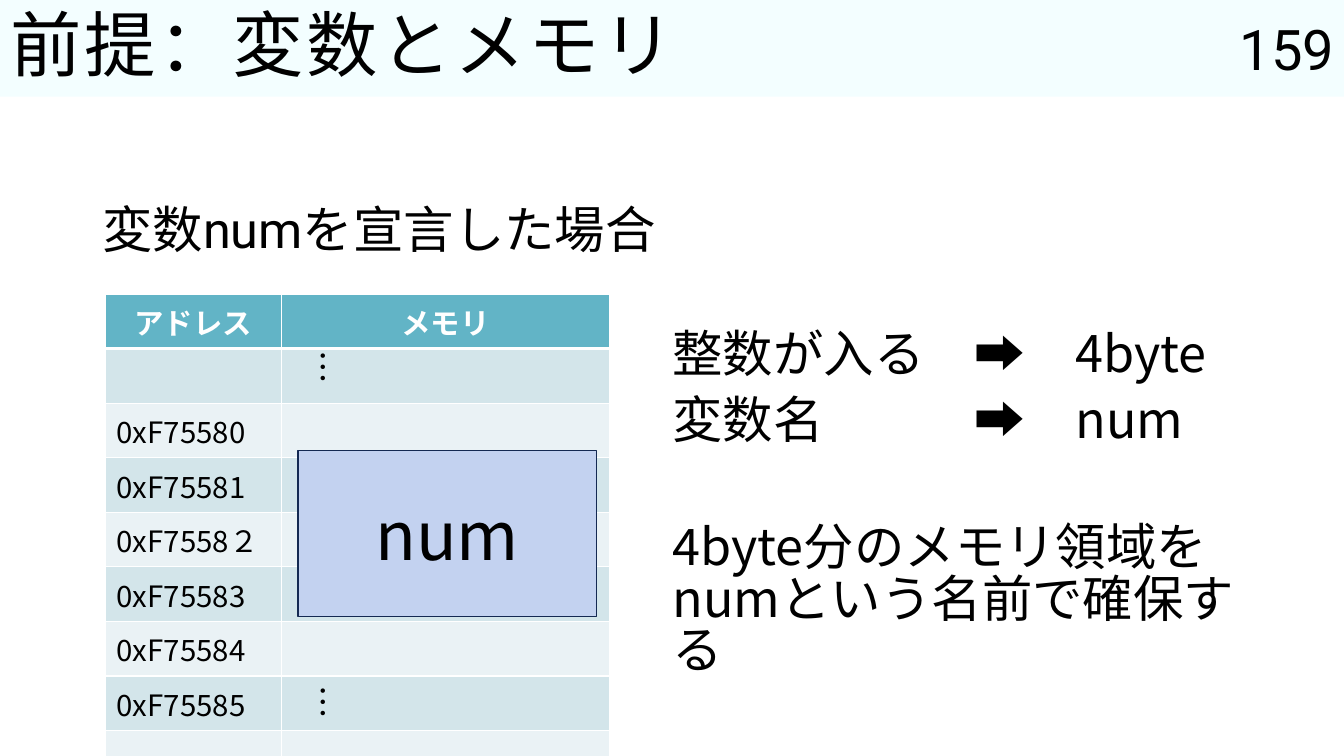
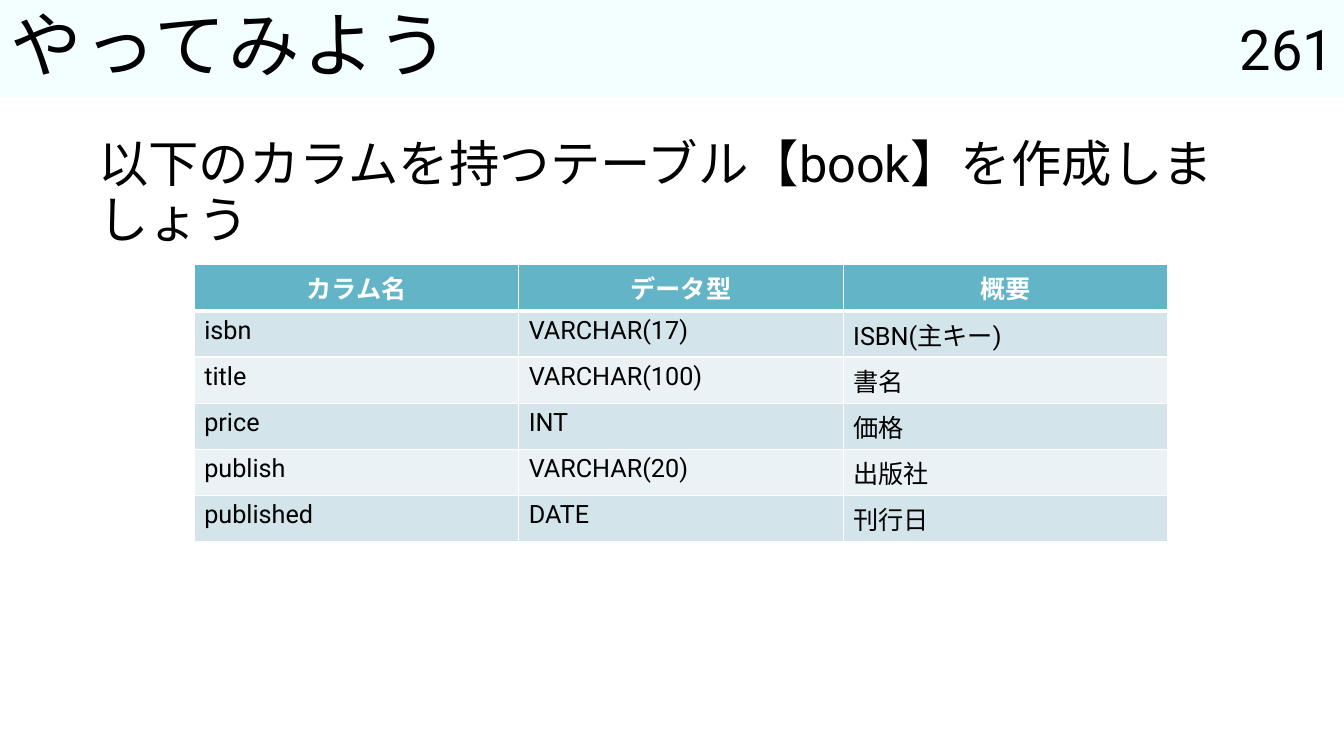
import pptx
import pptx.dml.color
import pptx.enum.shapes
import pptx.enum.text
import pptx.oxml.ns
import pptx.util
from lxml import etree

PX = 9525
WIDTH, HEIGHT = 1280, 720
BAND_HEIGHT = 92
NUMBER_WIDTH = 144
ROBOTO = "Roboto"
NOTO = "Noto Sans CJK JP"
COLORS = {
    "black": "000000",
    "white": "FFFFFF",
    "title band": "F3FEFF",
    "table header": "62B4C6",
    "odd row": "D3E5EA",
    "even row": "EAF2F5",
    "variable": "C3D2F0",
    "variable line": "142952",
}
ALIGN = pptx.enum.text.PP_ALIGN
MIDDLE = pptx.enum.text.MSO_ANCHOR.MIDDLE
TOP = pptx.enum.text.MSO_ANCHOR.TOP


def px(*lengths):
    return [pptx.util.Emu(length * PX) for length in lengths]


def rgb(name):
    return pptx.dml.color.RGBColor.from_string(COLORS[name])


def add_element(parent, tag, **attributes):
    return etree.SubElement(parent, pptx.oxml.ns.qn(tag), attributes)


def write_text(frame, text, *, size, font=NOTO, color="black", bold=False,
               align=ALIGN.LEFT, anchor=TOP, line_spacing=None,
               space_before=0, tabs=(), tracking=0):
    frame.word_wrap = True
    frame.vertical_anchor = anchor
    lines = [text] if isinstance(text, str) else text
    for index, line in enumerate(lines):
        para = frame.add_paragraph() if index else frame.paragraphs[0]
        para.text = line
        para.alignment = align
        para.space_before = pptx.util.Pt(space_before if index else 0)
        if line_spacing:
            para.line_spacing = line_spacing
        if tabs:
            tab_list = add_element(para._p.get_or_add_pPr(), "a:tabLst")
            for stop in px(*tabs):
                add_element(tab_list, "a:tab", pos=str(stop), algn="l")
        for span in para.runs:
            span.font.size = pptx.util.Pt(size)
            span.font.bold = bold
            span.font.color.rgb = rgb(color)
            span.font.name = font
            properties = span._r.get_or_add_rPr()
            add_element(properties, "a:ea", typeface=NOTO)
            if tracking:
                properties.set("spc", str(tracking * 100))


class Slides:
    def __init__(self):
        self.deck = pptx.Presentation()
        self.deck.slide_width, self.deck.slide_height = px(WIDTH, HEIGHT)
        self.page = None

    def start(self, title, number):
        self.page = self.deck.slides.add_slide(self.deck.slide_layouts[5])
        band = self.page.shapes.title
        band.left, band.top, band.width, band.height = px(0, 0, WIDTH, BAND_HEIGHT)
        band.fill.solid()
        band.fill.fore_color.rgb = rgb("title band")
        write_text(band.text_frame, title, size=51, font=ROBOTO, anchor=MIDDLE,
                   line_spacing=0.9, tracking=2)
        self.text((WIDTH - NUMBER_WIDTH, 0, NUMBER_WIDTH, BAND_HEIGHT), str(number),
                  size=40, font=ROBOTO, align=ALIGN.RIGHT, anchor=MIDDLE)

    def text(self, area, text, vertical=False, **style):
        box = self.page.shapes.add_textbox(*px(*area))
        write_text(box.text_frame, text, **style)
        if vertical:
            box.text_frame._txBody.bodyPr.set("vert", "eaVert")

    def rectangle(self, area, text, fill, line, **style):
        shape = self.page.shapes.add_shape(
            pptx.enum.shapes.MSO_SHAPE.RECTANGLE, *px(*area))
        shape.shadow.inherit = False
        shape.fill.solid()
        shape.fill.fore_color.rgb = rgb(fill)
        shape.line.color.rgb = rgb(line)
        shape.line.width = pptx.util.Pt(1)
        write_text(shape.text_frame, text, align=ALIGN.CENTER, anchor=MIDDLE, **style)

    def borders(self, cell, top, bottom):
        properties = cell._tc.get_or_add_tcPr()
        for side, width in (("L", 1), ("R", 1), ("T", top), ("B", bottom)):
            line = add_element(properties, "a:ln" + side, w=str(pptx.util.Pt(width)))
            fill = add_element(line, "a:solidFill")
            add_element(fill, "a:srgbClr", val=COLORS["white"])

    def table(self, left, top, widths, row_height, rows, margins=None, **style):
        area = px(left, top, sum(widths), row_height * len(rows))
        table = self.page.shapes.add_table(len(rows), len(widths), *area).table
        for column, width in zip(table.columns, px(*widths)):
            column.width = width
        for row_index, row in enumerate(rows):
            table.rows[row_index].height = px(row_height)[0]
            header = row_index == 0
            band = "odd row" if row_index % 2 else "even row"
            for column_index, text in enumerate(row):
                cell = table.cell(row_index, column_index)
                self.borders(cell, 3 if row_index == 1 else 1, 3 if header else 1)
                cell.fill.solid()
                cell.fill.fore_color.rgb = rgb("table header" if header else band)
                if margins:
                    cell.margin_left, cell.margin_top = px(*margins)
                    cell.margin_right, cell.margin_bottom = px(*margins)
                write_text(cell.text_frame, text, bold=header,
                           color="white" if header else "black",
                           align=ALIGN.CENTER if header else ALIGN.LEFT, **style)
                cell.vertical_anchor = MIDDLE if header else TOP


def variable_slide(slides):
    slides.start("前提：変数とメモリ", 159)
    slides.text((88, 192, 1104, 70), "変数numを宣言した場合",
                size=36, font=ROBOTO, line_spacing=0.87)
    addresses = ["", "0xF75580", "0xF75581", "0xF7558２", "0xF75583",
                 "0xF75584", "0xF75585", ""]
    rows = [("アドレス", "メモリ")] + [(address, "") for address in addresses]
    slides.table(100, 280, (168, 313), 52, rows, margins=(11, 6), size=21)
    for top in (324, 643):
        slides.text((273, top, 59, 47), "…", vertical=True, size=24)
    slides.text((631, 311, 546, 150), ["整数が入る\t➡\t4byte", "変数名\t➡\tnum"],
                size=36, line_spacing=0.85, space_before=10, tabs=(288, 384))
    slides.text((631, 495, 579, 137), "4byte分のメモリ領域を\vnumという名前で確保する",
                size=36, line_spacing=0.85)
    slides.rectangle((284, 429, 284, 158), "num", "variable", "variable line", size=48)


def exercise_slide(slides):
    slides.start("やってみよう", 261)
    slides.text((84, 126, 1111, 92),
                "以下のカラムを持つテーブル【book】を作成しましょう",
                size=36, font=ROBOTO, line_spacing=0.93)
    rows = [
        ("カラム名", "データ型", "概要"),
        ("isbn", "VARCHAR(17)", "ISBN(主キー)"),
        ("title", "VARCHAR(100)", "書名"),
        ("price", "INT", "価格"),
        ("publish", "VARCHAR(20)", "出版社"),
        ("published", "DATE", "刊行日"),
    ]
    slides.table(185, 252, (309,) * 3, 44, rows, size=18, font=ROBOTO)


def main():
    slides = Slides()
    variable_slide(slides)
    exercise_slide(slides)
    slides.deck.save("out.pptx")


if __name__ == "__main__":
    main()
